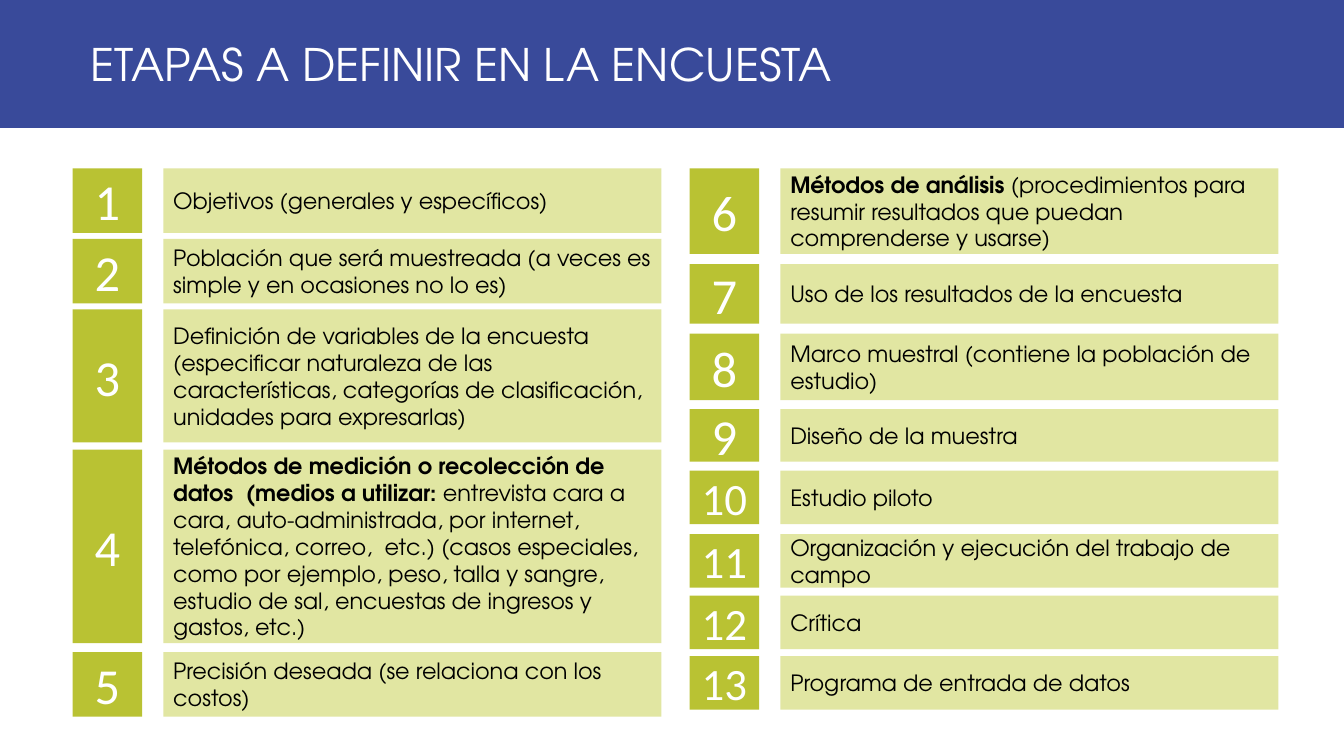
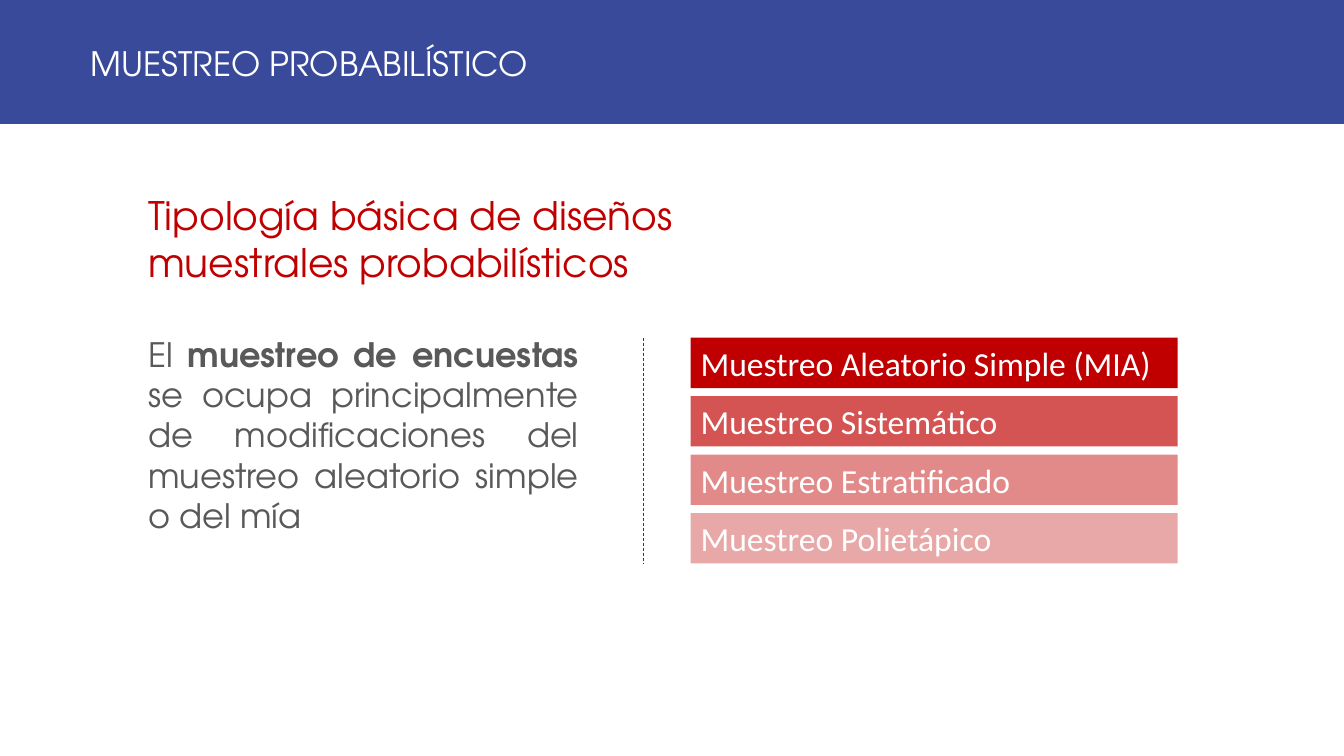
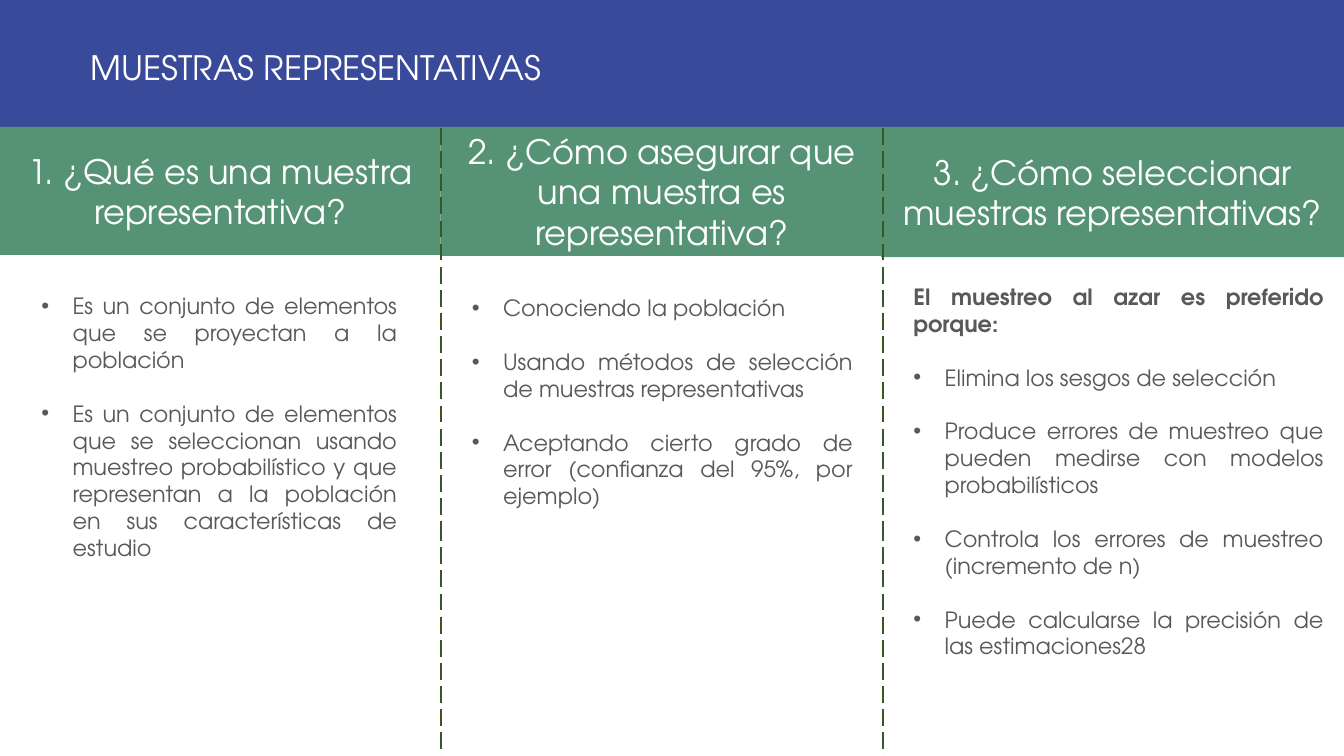
from itertools import pairwise

from lxml import etree
from pptx import Presentation
from pptx.dml.color import RGBColor
from pptx.enum import dml, shapes, text
from pptx.oxml import ns
from pptx.util import Inches, Pt

COLORS = {
    "band": "394A9A", "badge": "B9C233", "step": "E1E6A2", "red": "C00000",
    "green": "559374", "divider": "385723", "body": "595959",
    "white": "FFFFFF", "black": "000000",
}
HEADING_FONT = "TeX Gyre Adventor"
PLAIN_FONT = "Calibri"
SLIDE_WIDTH, SLIDE_HEIGHT = 13.33, 7.5
TWO_CONTENT, COMPARISON, TITLE_ONLY = 3, 4, 5
LEFT, CENTER, JUSTIFY = text.PP_ALIGN.LEFT, text.PP_ALIGN.CENTER, text.PP_ALIGN.JUSTIFY
TOP, MIDDLE = text.MSO_ANCHOR.TOP, text.MSO_ANCHOR.MIDDLE

LEFT_STEPS = [
    (1.67, 0.64, "", "Objetivos (generales y específicos)"),
    (2.37, 0.64, "", "Población que será muestreada (a veces es simple y en ocasiones no lo es)"),
    (3.07, 1.32, "", "Definición de variables de la encuesta (especificar naturaleza de las "
     "características, categorías de clasificación, unidades para expresarlas)"),
    (4.46, 1.92, "Métodos de medición o recolección de datos  (medios a utilizar: ",
     "entrevista cara a cara, auto-administrada, por internet, telefónica, correo,  etc.) "
     "(casos especiales, como por ejemplo, peso, talla y sangre, estudio de sal, "
     "encuestas de ingresos y gastos, etc.)"),
    (6.47, 0.64, "", "Precisión deseada (se relaciona con los costos)"),
]
RIGHT_STEPS = [
    (1.67, 0.85, "Métodos de análisis ",
     "(procedimientos para resumir resultados que puedan comprenderse y usarse)"),
    (2.62, 0.59, "", "Uso de los resultados de la encuesta"),
    (3.31, 0.66, "", "Marco muestral (contiene la población de estudio)"),
    (4.06, 0.52, "", "Diseño de la muestra"),
    (4.67, 0.53, "", "Estudio piloto"),
    (5.3, 0.53, "", "Organización y ejecución del trabajo de campo"),
    (5.91, 0.53, "", "Crítica"),
    (6.51, 0.53, "", "Programa de entrada de datos"),
]
DESIGNS = [
    ("Muestreo Aleatorio Simple (MIA)", 100),
    ("Muestreo Sistemático", 67),
    ("Muestreo Estratificado", 46),
    ("Muestreo Polietápico", 34),
]
QUESTIONS = [
    ((0, 1.26, 4.37, 1.27), "1. ¿Qué es una muestra representativa?",
     (0.31, 2.85, 3.73, 2.79), "",
     ["Es un conjunto de elementos que se proyectan a la población",
      "Es un conjunto de elementos que se seleccionan usando muestreo probabilístico "
      "y que representan a la población en sus características de estudio"]),
    ((4.37, 1.26, 4.39, 1.28), "2. ¿Cómo asegurar que una muestra es representativa?",
     (4.58, 2.87, 3.98, 2.26), "",
     ["Conociendo la población",
      "Usando métodos de selección de muestras representativas",
      "Aceptando cierto grado de error (confianza del 95%, por ejemplo)"]),
    ((8.74, 1.26, 4.59, 1.29), "3. ¿Cómo seleccionar muestras representativas?",
     (8.96, 2.76, 4.27, 3.87), "El muestreo al azar es preferido porque:",
     ["Elimina los sesgos de selección",
      "Produce errores de muestreo que pueden medirse con modelos probabilísticos",
      "Controla los errores de muestreo (incremento de n)",
      "Puede calcularse la precisión de las estimaciones28"]),
]


def rgb(name):
    """Return the named colour."""
    return RGBColor.from_string(COLORS[name])


def place(shape, box):
    """Move a shape to a box given in inches."""
    shape.left, shape.top, shape.width, shape.height = map(Inches, box)


def setup_frame(shape, anchor):
    """Wrap text at a fixed size and return the text frame."""
    frame = shape.text_frame
    frame.word_wrap = True
    frame.auto_size = text.MSO_AUTO_SIZE.NONE
    frame.vertical_anchor = anchor
    return frame


def write(para, runs, size, color, font=HEADING_FONT, align=LEFT, before=0):
    """Fill a paragraph with (text, bold) runs."""
    para.alignment = align
    para.space_before = Pt(before)
    for words, bold in runs:
        span = para.add_run()
        span.text = words
        span.font.size = Pt(size)
        span.font.name = font
        span.font.bold = bold
        span.font.color.rgb = rgb(color)


def set_bullet(para, char=""):
    """Give a paragraph a hanging bullet, or none."""
    props = para._p.get_or_add_pPr()
    indent = Inches(0.31) if char else 0
    props.set("marL", str(indent))
    props.set("indent", str(-indent))
    bullet = etree.SubElement(props, ns.qn("a:buChar" if char else "a:buNone"))
    if char:
        bullet.set("char", char)


def add_panel(page, box, fill, runs, size, color, font=HEADING_FONT,
              align=LEFT, anchor=MIDDLE, opacity=100):
    """Add a filled rectangle holding one paragraph."""
    panel = page.shapes.add_shape(shapes.MSO_SHAPE.RECTANGLE, *map(Inches, box))
    panel.shadow.inherit = False
    panel.line.fill.background()
    panel.fill.solid()
    panel.fill.fore_color.rgb = rgb(fill)
    if opacity < 100:
        tint = panel._element.spPr.find(".//" + ns.qn("a:srgbClr"))
        etree.SubElement(tint, ns.qn("a:alpha")).set("val", str(opacity * 1000))
    write(setup_frame(panel, anchor).paragraphs[0], runs, size, color, font, align)


def add_divider(page, x, top, bottom, color, width, dash):
    """Add a dashed vertical line."""
    ends = map(Inches, (x, top, x, bottom))
    line = page.shapes.add_connector(shapes.MSO_CONNECTOR.STRAIGHT, *ends)
    line.line.color.rgb = rgb(color)
    line.line.width = Pt(width)
    line.line.dash_style = dash
    etree.SubElement(line._element.spPr, ns.qn("a:effectLst"))


def add_page(deck, layout, title, size=24, height=1.27, inset=0.12):
    """Add a slide whose title placeholder is the blue band."""
    page = deck.slides.add_slide(deck.slide_layouts[layout])
    band = page.shapes.title
    place(band, (0, 0, SLIDE_WIDTH, height))
    band.fill.solid()
    band.fill.fore_color.rgb = rgb("band")
    frame = setup_frame(band, MIDDLE)
    frame.margin_left = Inches(0.9)
    frame.margin_top = Inches(inset)
    write(frame.paragraphs[0], [(title, False)], size, "white")
    return page


def fill_body(body, box, runs, size, color, align=LEFT, anchor=TOP):
    """Place a body placeholder and give it one unbulleted paragraph."""
    place(body, box)
    para = setup_frame(body, anchor).paragraphs[0]
    set_bullet(para)
    write(para, runs, size, color, align=align)


def fill_list(body, box, lead, items):
    """Place a body placeholder with an optional bold lead and bullets."""
    place(body, box)
    frame = setup_frame(body, TOP)
    rows = [(lead, True)] if lead else []
    rows += [(item, False) for item in items]
    for index, (words, is_lead) in enumerate(rows):
        para = frame.add_paragraph() if index else frame.paragraphs[0]
        set_bullet(para, "" if is_lead else "•")
        write(para, [(words, is_lead)], 16, "body", align=JUSTIFY, before=19.2 if index else 0)


def add_steps(page, left, first, steps):
    """Add a column of numbered steps starting at left."""
    for number, (top, height, strong, plain) in enumerate(steps, first):
        add_panel(page, (left, top, 0.69, height), "badge", [(str(number), False)],
                  36 if number < 10 else 32, "white", PLAIN_FONT, CENTER)
        runs = [(strong, True)] if strong else []
        add_panel(page, (left + 0.9, top, 4.94, height), "step",
                  runs + [(plain, False)], 16, "black")


def add_designs(page, left, top, width):
    """Stack the sampling designs in fading red bars."""
    for index, (name, opacity) in enumerate(DESIGNS):
        add_panel(page, (left, top + 0.58 * index, width, 0.5), "red", [(name, False)],
                  24, "white", PLAIN_FONT, anchor=TOP, opacity=opacity)


def build_stages(deck):
    """Build the slide of survey stages."""
    page = add_page(deck, TITLE_ONLY, "ETAPAS A DEFINIR EN LA ENCUESTA", size=32, inset=0.05)
    add_steps(page, 0.72, 1, LEFT_STEPS)
    add_steps(page, 6.84, len(LEFT_STEPS) + 1, RIGHT_STEPS)


def build_sampling(deck):
    """Build the slide of probability sampling designs."""
    page = add_page(deck, TWO_CONTENT, "MUESTREO PROBABILÍSTICO", height=1.23, inset=0.08)
    fill_body(page.placeholders[1], (1.37, 1.99, 5.48, 0.75),
              [("Tipología básica de diseños muestrales probabilísticos", False)],
              28, "red", anchor=MIDDLE)
    fill_body(page.placeholders[2], (1.37, 3.26, 4.47, 2.12),
              [("El ", False), ("muestreo de encuestas ", True),
               ("se ocupa principalmente de modificaciones del muestreo aleatorio "
                "simple o del mía", False)], 24, "body", align=JUSTIFY)
    add_designs(page, 6.85, 3.35, 4.83)
    add_divider(page, 6.38, 3.35, 5.59, "red", 0.5, dml.MSO_LINE.DASH)


def build_questions(deck):
    """Build the slide of three questions in columns."""
    page = add_page(deck, COMPARISON, "MUESTRAS REPRESENTATIVAS")
    *bodies, spare = list(page.placeholders)[1:]
    spare._element.getparent().remove(spare._element)
    for body, (head_box, question, list_box, lead, items) in zip(bodies, QUESTIONS):
        fill_list(body, list_box, lead, items)
        add_panel(page, head_box, "green", [(question, False)], 24, "white", align=CENTER)
    for x in (4.37, 8.76):
        for top, bottom in pairwise((1.27, 5.2, SLIDE_HEIGHT)):
            add_divider(page, x, top, bottom, "divider", 1.5, dml.MSO_LINE.LONG_DASH)


def main():
    """Build and save the deck."""
    deck = Presentation()
    deck.slide_width, deck.slide_height = Inches(SLIDE_WIDTH), Inches(SLIDE_HEIGHT)
    build_stages(deck)
    build_sampling(deck)
    build_questions(deck)
    deck.save("out.pptx")


if __name__ == "__main__":
    main()
